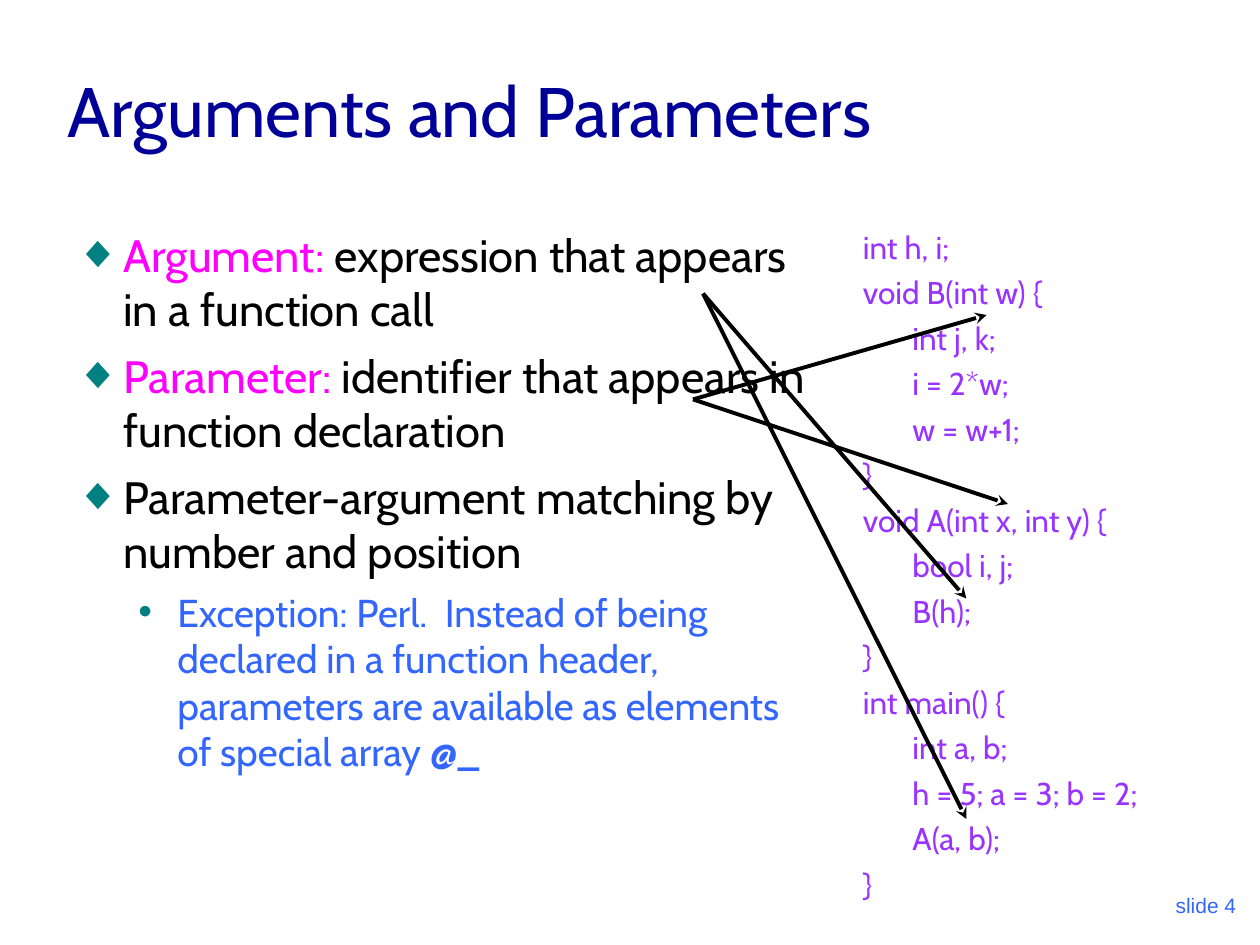
from pptx import Presentation
from pptx.dml.color import RGBColor as Rgb
from pptx.enum.shapes import MSO_CONNECTOR as Conn
from pptx.enum.text import MSO_ANCHOR as Anchor, PP_ALIGN as Align
from pptx.oxml.ns import qn
from pptx.util import Inches, Pt
from lxml.etree import SubElement as Sub

THEME = {
    "title": dict(name="Cabin", size=Pt(40), color="000099"),
    "term": dict(name="Cabin", size=Pt(25.9), color="FF00FF"),
    "body": dict(name="Cabin", size=Pt(25.9), color="000000"),
    "note": dict(name="Cabin", size=Pt(22.2), color="3366FF"),
    "array": dict(name="Cabin", size=Pt(22.2), color="3366FF", bold=True),
    "code": dict(name="Cabin", size=Pt(18), color="9933FF"),
    "foot": dict(name="Arial", size=Pt(12), color="3366FF"),
    "mark": "008080",
    "arrow": "000000",
}

# Each paragraph: bullet, indent, hang, space before, runs
POINTS = [
    ("◆", 0.38, 0.38, 0, [
        ("Argument:", "term"),
        (" expression that appears in a function call", "body")]),
    ("◆", 0.38, 0.38, 7, [
        ("Parameter:", "term"),
        (" identifier that appears in function declaration", "body")]),
    ("◆", 0.38, 0.38, 7, [
        ("Parameter-argument matching by number and position", "body")]),
    ("•", 0.81, 0.31, 6, [
        ("Exception: Perl.  Instead of being declared in a function header, "
         "parameters are available as elements of special array ", "note"),
        ("@_", "array")]),
]

CODE = """int h, i;
void B(int w) {
       int j, k;
       i = 2*w;
       w = w+1;
}
void A(int x, int y) {
       bool i, j;
       B(h);
}
int main() {
       int a, b;
       h = 5; a = 3; b = 2;
       A(a, b);
}"""

ARROWS = [
    ((5.58, 2.33), [(7.67, 4.75), (7.67, 6.5)]),  # argument to the calls
    ((5.5, 3.17), [(7.83, 2.5), (8, 4)]),  # parameter to the declarations
]


def add_box(left, top, width, height, anchor=Anchor.TOP):
    box = slide.shapes.add_textbox(*map(Inches, (left, top, width, height)))
    frame = box.text_frame
    frame.word_wrap = True
    frame.vertical_anchor = anchor
    return frame


def add_run(para, text, style):
    run = para.add_run()
    run.text = text
    for key, value in THEME[style].items():
        if key == "color":
            run.font.color.rgb = Rgb.from_string(value)
        else:
            setattr(run.font, key, value)


deck = Presentation()
deck.slide_width, deck.slide_height = Inches(10), Inches(7.5)
slide = deck.slides.add_slide(deck.slide_layouts[6])

# Slide number and title
foot = add_box(7.83, 6.83, 2.08, 0.5, Anchor.BOTTOM).paragraphs[0]
foot.alignment = Align.RIGHT
add_run(foot, "slide 4", "foot")
title = add_box(0.44, 0.25, 8.5, 1, Anchor.BOTTOM).paragraphs[0]
add_run(title, "Arguments and Parameters", "title")

# Bulleted definitions
frame = add_box(0.5, 1.75, 6.08, 4.88)
for num, (mark, indent, hang, before, runs) in enumerate(POINTS):
    para = frame.add_paragraph() if num else frame.paragraphs[0]
    if before:
        para.space_before = Pt(before)
    props = para._p.get_or_add_pPr()
    props.set("marL", str(Inches(indent)))
    props.set("indent", str(-Inches(hang)))
    Sub(Sub(props, qn("a:buClr")), qn("a:srgbClr"), val=THEME["mark"])
    Sub(props, qn("a:buFont"), typeface="Arial")
    Sub(props, qn("a:buChar"), char=mark)
    for text, style in runs:
        add_run(para, text, style)

# Code sample
frame = add_box(6.75, 1.81, 3.08, 5.41)
for num, line in enumerate(CODE.split("\n")):
    para = frame.add_paragraph() if num else frame.paragraphs[0]
    para.line_spacing = Pt(18)
    para.space_after = Pt(8)
    add_run(para, line, "code")

# Arrows from each term to its uses in the code
for start, ends in ARROWS:
    for end in ends:
        arrow = slide.shapes.add_connector(
            Conn.STRAIGHT, *map(Inches, start + end))
        arrow.line.color.rgb = Rgb.from_string(THEME["arrow"])
        arrow.line.width = Pt(2.25)
        Sub(arrow.line._get_or_add_ln(), qn("a:tailEnd"), type="stealth")
        Sub(arrow._element.spPr, qn("a:effectLst"))

deck.save("out.pptx")
